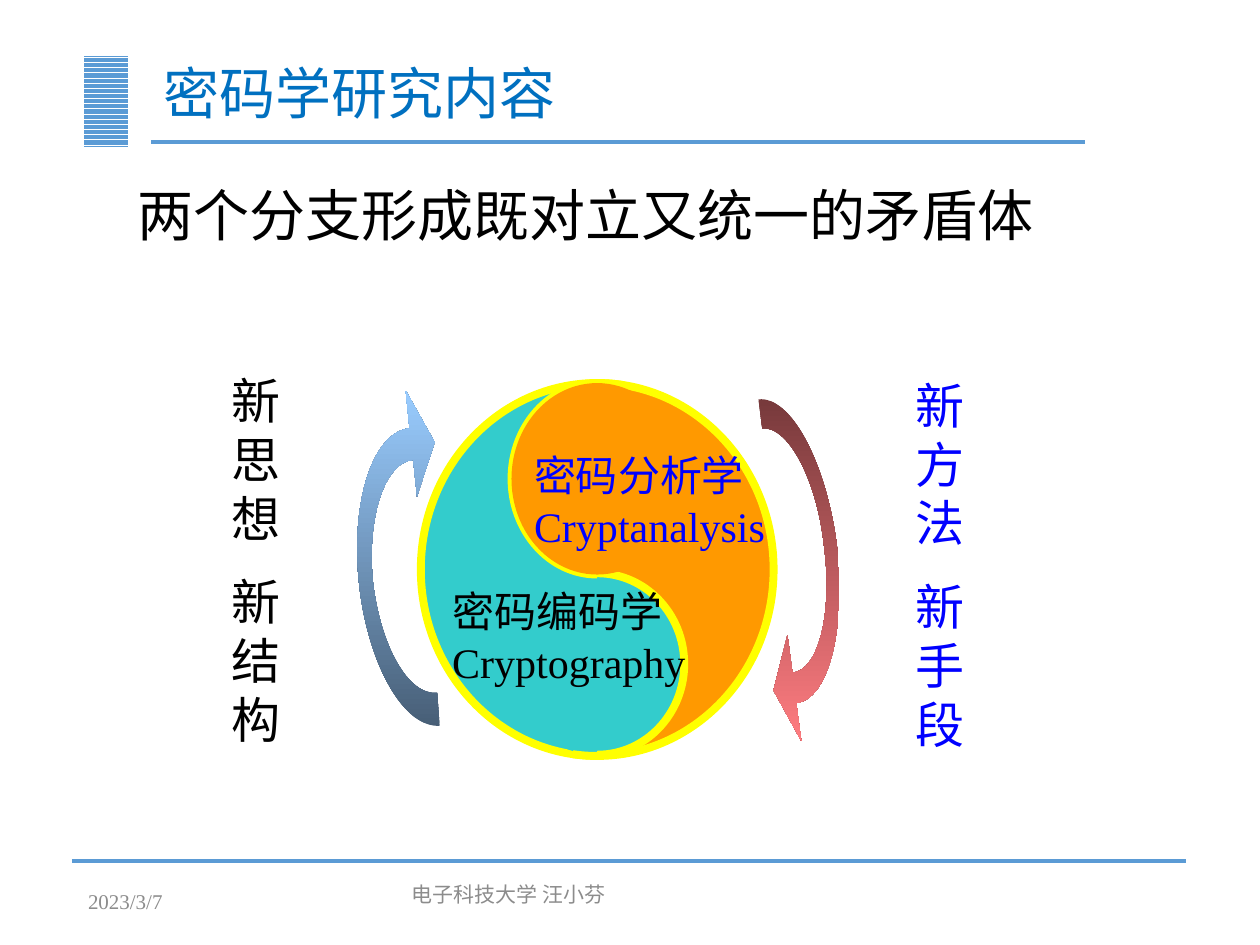
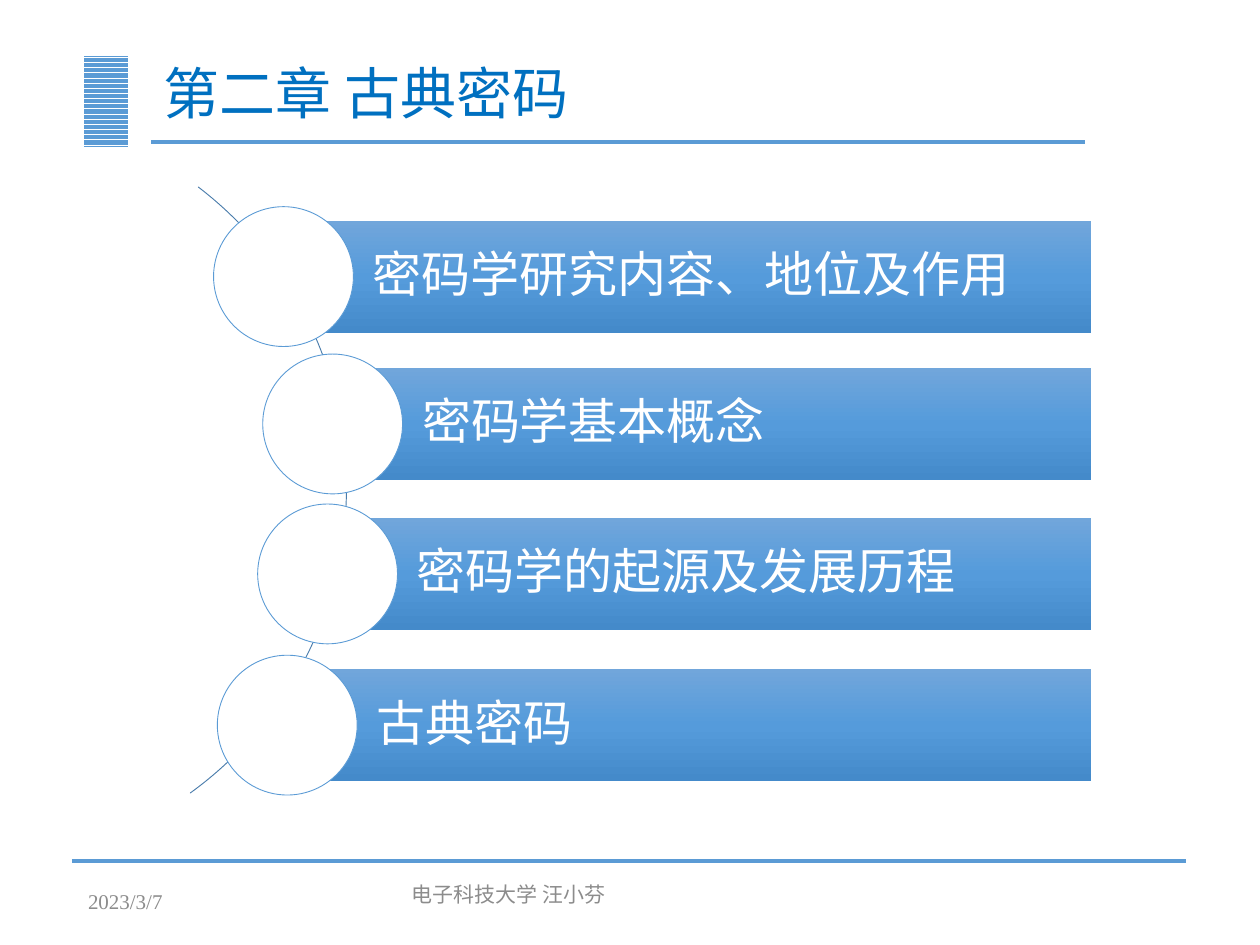
from math import ceil, cos, radians, sin, tan

from lxml import etree
from pptx import Presentation
from pptx.dml.color import RGBColor
from pptx.enum.dml import MSO_PATTERN
from pptx.enum.shapes import MSO_CONNECTOR, MSO_SHAPE
from pptx.enum.text import MSO_ANCHOR, MSO_AUTO_SIZE, PP_ALIGN
from pptx.oxml.ns import qn
from pptx.util import Inches, Pt

RECTANGLE, ELLIPSE, BLOCK_ARC = MSO_SHAPE.RECTANGLE, MSO_SHAPE.OVAL, MSO_SHAPE.BLOCK_ARC
TOP, MIDDLE = MSO_ANCHOR.TOP, MSO_ANCHOR.MIDDLE
STRIPES = MSO_PATTERN.DARK_HORIZONTAL

SERIF, SANS = "Times New Roman", "Noto Sans CJK SC"
BLACK, WHITE = RGBColor(0, 0, 0), RGBColor(255, 255, 255)
ACCENT = RGBColor(0x5B, 0x9B, 0xD5)
TITLE_BLUE = RGBColor(0x00, 0x70, 0xC0)
TEXT_BLUE = RGBColor(0x00, 0x00, 0xFF)
GRAY = RGBColor(0x8C, 0x8C, 0x8C)
ORANGE = RGBColor(0xFF, 0x99, 0x00)
TEAL = RGBColor(0x33, 0xCC, 0xCC)
YELLOW = RGBColor(0xFF, 0xFF, 0x00)
ARC_BLUE = RGBColor(0x49, 0x7C, 0xAB)
BAR_STOPS = [RGBColor(0x71, 0xA6, 0xDB), RGBColor(0x55, 0x9B, 0xDB), RGBColor(0x44, 0x8A, 0xCA)]
BLUE_STOPS = [RGBColor(0x47, 0x5E, 0x76), RGBColor(0x99, 0xCC, 0xFF)]
RED_STOPS = [RGBColor(0x76, 0x39, 0x3B), RGBColor(0xFF, 0x7C, 0x80)]
UPWARD, DOWNWARD = 90, 270

# Shared content
FOOTER, DATE = "电子科技大学 汪小芬", "2023/3/7"
RULES = [(1.2, 8.61, 1.13), (0.57, 9.41, 6.83)]  # left, right, height

# Slide 1: text boxes as lines, place, colour
TITLE_1 = "密码学研究内容"
STATEMENT = "两个分支形成既对立又统一的矛盾体"
COLUMNS = [
    (["新方法", "新手段"], (7.17, 2.93, 0.52, 3.16), TEXT_BLUE),
    (["新思想", "新结构"], (1.74, 2.89, 0.41, 3.19), BLACK),
]
BRANCHES = [
    (["密码分析学", "Cryptanalysis"], (4.14, 3.52, 2.1, 0.91), TEXT_BLUE),
    (["密码编码学Cryptography"], (3.49, 4.6, 2.11, 0.91), BLACK),
]
DISC_BACKING = (3.84, 3.39, 1.26, 2.03)
# Ovals as centre x, centre y, radius x, radius y
DISC = (4.74, 4.52, 1.4, 1.48)
UPPER_LOBE = (4.74, 3.8, 0.68, 0.76)
LOWER_LOBE = (4.74, 5.27, 0.69, 0.72)
# Arrow outlines: a pair is a straight step, six numbers are a Bézier step
BLUE_ARROW = [
    (3.28, 3.65),
    (3.05, 3.67, 2.91, 4.11, 2.96, 4.62), (3.02, 5.13, 3.24, 5.52, 3.47, 5.5),
    (3.49, 5.76),
    (3.21, 5.78, 2.92, 5.28, 2.85, 4.63), (2.78, 3.98, 2.96, 3.43, 3.25, 3.4),
    (3.22, 3.1), (3.45, 3.51), (3.31, 3.94),
]
RED_ARROW = [
    (6.29, 5.34),
    (6.5, 5.32, 6.61, 4.86, 6.54, 4.33), (6.48, 3.79, 6.25, 3.38, 6.05, 3.4),
    (6.02, 3.17),
    (6.27, 3.14, 6.55, 3.65, 6.64, 4.31), (6.72, 4.98, 6.58, 5.55, 6.32, 5.58),
    (6.36, 5.88), (6.14, 5.48), (6.25, 5.04),
]

# Slide 2: topic, bar left, bar top, font
TITLE_2 = "第二章 古典密码"
TOPICS = [
    ("密码学研究内容、地位及作用", 2.25, 1.75, SANS),
    ("密码学基本概念", 2.64, 2.92, SERIF),
    ("密码学的起源及发展历程", 2.6, 4.11, SANS),
    ("古典密码", 2.28, 5.31, SANS),
]
BAR_RIGHT, BAR_HEIGHT, KNOB = 8.66, 0.89, 1.11


def box(place):
    return [Inches(length) for length in place]


def paint(shape, fill=None, line=None, width=0.5):
    shape.shadow.inherit = False
    if fill is None:
        shape.fill.background()
    else:
        shape.fill.solid()
        shape.fill.fore_color.rgb = fill
    if line is None:
        shape.line.fill.background()
    else:
        shape.line.color.rgb = line
        shape.line.width = Pt(width)


def paint_gradient(shape, colors, angle):
    paint(shape)
    shape.fill.gradient()
    shape.fill.gradient_angle = angle
    stops = shape.element.spPr.find(".//" + qn("a:gsLst"))
    for stop in list(stops):
        stops.remove(stop)
    for index, color in enumerate(colors):
        position = index * 100000 // (len(colors) - 1)
        stop = etree.SubElement(stops, qn("a:gs"), pos=str(position))
        etree.SubElement(stop, qn("a:srgbClr"), val=str(color))


def set_text(shape, lines, size, color, font=SERIF, anchor=TOP, spacing=None, gap=0):
    frame = shape.text_frame
    frame.word_wrap = True
    frame.auto_size = MSO_AUTO_SIZE.NONE
    frame.vertical_anchor = anchor
    for index, line in enumerate(lines):
        paragraph = frame.paragraphs[0] if index == 0 else frame.add_paragraph()
        run = paragraph.add_run()
        run.text = line
        paragraph.alignment = PP_ALIGN.LEFT
        paragraph.line_spacing = spacing
        paragraph.space_before = Pt(gap if index else 0)
        run.font.size = Pt(size)
        run.font.name = font
        run.font.color.rgb = color
        if font == SANS:
            latin = run.font._element.find(qn("a:latin"))
            latin.addnext(latin.makeelement(qn("a:ea"), {"typeface": font}))


def add_text(slide, lines, place, size, color, **options):
    set_text(slide.shapes.add_textbox(*box(place)), lines, size, color, **options)


def add_shape(slide, kind, place, fill=None, line=None):
    shape = slide.shapes.add_shape(kind, *box(place))
    paint(shape, fill, line)
    return shape


def add_outline(slide, outline, close):
    """Draw straight and Bézier steps; each Bézier step joins three line steps."""
    start, *steps = outline
    points = [tuple(box(step[i:i + 2])) for step in steps for i in range(0, len(step), 2)]
    builder = slide.shapes.build_freeform(*box(start))
    builder.add_line_segments(points, close=close)
    shape = builder.convert_to_shape()
    segments = iter(shape.element.spPr.findall(".//" + qn("a:lnTo")))
    for step in steps:
        segment = next(segments)
        if len(step) == 6:
            curve = segment.makeelement(qn("a:cubicBezTo"))
            segment.addprevious(curve)
            for part in (segment, next(segments), next(segments)):
                curve.append(part[0])
                part.getparent().remove(part)
    return shape


def arc_outline(oval, start, end):
    x, y, radius_x, radius_y = oval
    count = ceil((end - start) / 90)
    turn = radians(end - start) / count
    reach = 4 / 3 * tan(turn / 4)

    def place(angle, pull=0):
        return (x + radius_x * (cos(angle) - pull * sin(angle)),
                y + radius_y * (sin(angle) + pull * cos(angle)))

    outline = [place(radians(start))]
    for index in range(count):
        first = radians(start) + index * turn
        last = first + turn
        outline.append(place(first, reach) + place(last, -reach) + place(last))
    return outline


def add_lobe(slide, oval, fill):
    x, y, radius_x, radius_y = oval
    add_shape(slide, ELLIPSE, (x - radius_x, y - radius_y, 2 * radius_x, 2 * radius_y), fill)


def add_base_slide(presentation, title):
    slide = presentation.slides.add_slide(presentation.slide_layouts[5])
    # Striped band and rules
    band = add_shape(slide, RECTANGLE, (0.67, 0.44, 0.35, 0.72))
    band.fill.patterned()
    band.fill.pattern = STRIPES
    band.fill.fore_color.rgb = ACCENT
    band.fill.back_color.rgb = WHITE
    for left, right, height in RULES:
        rule = slide.shapes.add_connector(
            MSO_CONNECTOR.STRAIGHT, *box((left, height, right, height)))
        rule.line.color.rgb = ACCENT
        rule.line.width = Pt(2.25)
        etree.SubElement(rule.element.spPr, qn("a:effectLst"))
    # Title and footers
    heading = slide.shapes.title
    heading.left, heading.top, heading.width, heading.height = box((1.2, 0.4, 7.41, 0.73))
    set_text(heading, [title], 32, TITLE_BLUE, font=SANS, anchor=MIDDLE, spacing=0.9)
    add_text(slide, [FOOTER], (3.17, 6.95, 3.62, 0.4), 12, GRAY)
    add_text(slide, [DATE], (0.6, 6.95, 2.25, 0.4), 12, GRAY, anchor=MIDDLE)
    return slide


def build_research_slide(presentation):
    slide = add_base_slide(presentation, TITLE_1)
    add_text(slide, [STATEMENT], (0.99, 1.44, 7.35, 0.73), 32, BLACK, spacing=0.9)
    for lines, place, color in COLUMNS:
        add_text(slide, lines, place, 28, color, gap=14)

    # Two halves of the disc, then the lobes with their yellow edges
    add_shape(slide, RECTANGLE, DISC_BACKING, WHITE)
    for start, fill in [(-90, ORANGE), (90, TEAL)]:
        half = add_outline(slide, arc_outline(DISC, start, start + 180), True)
        paint(half, fill, YELLOW, 4.5)
    add_lobe(slide, LOWER_LOBE, TEAL)
    for oval, start, end in [(UPPER_LOBE, 90, 270), (LOWER_LOBE, -90, 90),
                             (DISC, -91, -82), (DISC, 89, 98)]:
        edge = add_outline(slide, arc_outline(oval, start, end), False)
        paint(edge, None, YELLOW, 4.5)

    # Arrows around the disc
    for outline, colors, angle in [(BLUE_ARROW, BLUE_STOPS, UPWARD),
                                   (RED_ARROW, RED_STOPS, DOWNWARD)]:
        arrow = add_outline(slide, outline, True)
        paint_gradient(arrow, colors, angle)

    add_lobe(slide, UPPER_LOBE, ORANGE)
    for lines, place, color in BRANCHES:
        add_text(slide, lines, place, 24, color)


def build_chapter_slide(presentation):
    slide = add_base_slide(presentation, TITLE_2)
    arc = add_shape(slide, BLOCK_ARC, (-3.23, 0.87, 5.98, 5.99), line=ARC_BLUE)
    for index, value in enumerate((184.39, 32.52, 0)):
        arc.adjustments[index] = value

    # Bars, each with a round knob centred on its left end
    for topic, left, top, font in TOPICS:
        bar = add_shape(slide, RECTANGLE, (left, top, BAR_RIGHT - left, BAR_HEIGHT))
        paint_gradient(bar, BAR_STOPS, DOWNWARD)
        set_text(bar, [topic], 28, WHITE, font=font, anchor=MIDDLE, spacing=0.9)
        frame = bar.text_frame
        frame.margin_left = Inches(0.71)
        frame.margin_right = frame.margin_top = frame.margin_bottom = Inches(0.07)
        knob_top = top + (BAR_HEIGHT - KNOB) / 2
        add_shape(slide, ELLIPSE, (left - KNOB / 2, knob_top, KNOB, KNOB), WHITE, ACCENT)


def main():
    presentation = Presentation()
    presentation.slide_width, presentation.slide_height = Inches(10), Inches(7.5)
    build_research_slide(presentation)
    build_chapter_slide(presentation)
    presentation.save("out.pptx")


if __name__ == "__main__":
    main()
